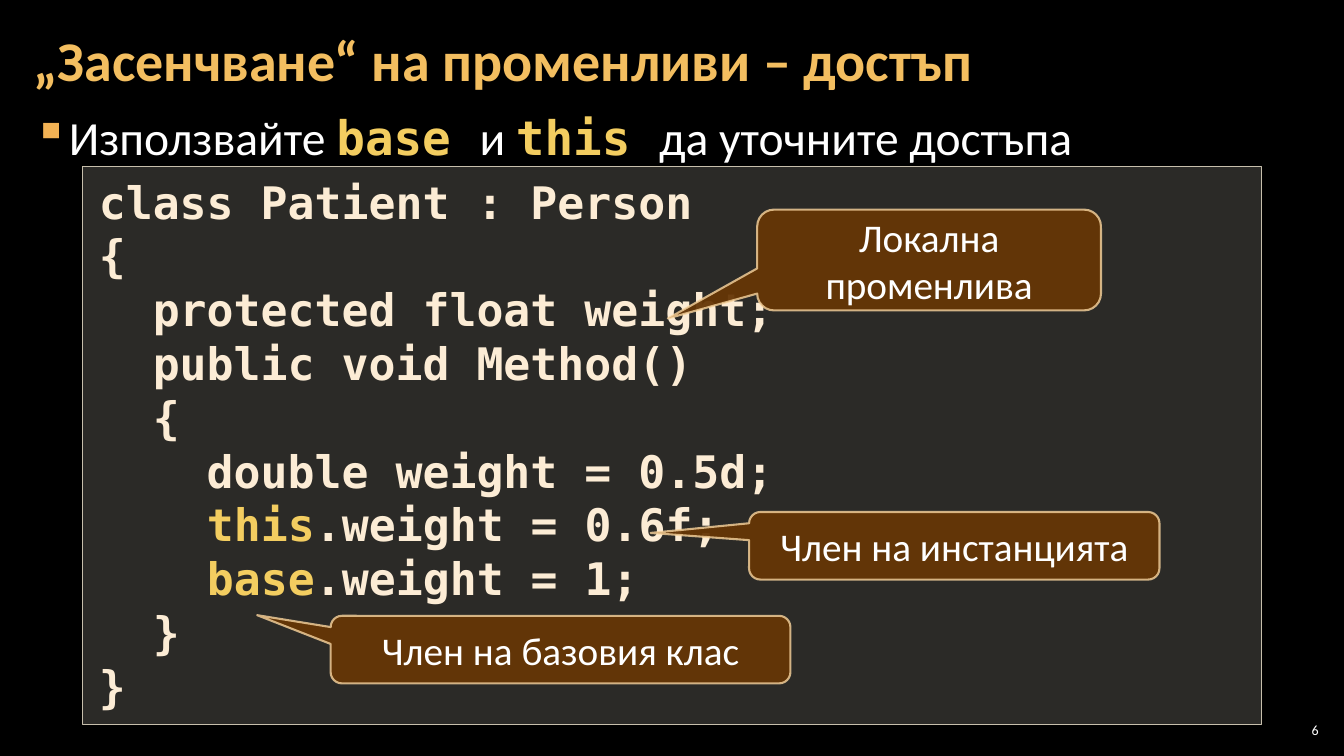
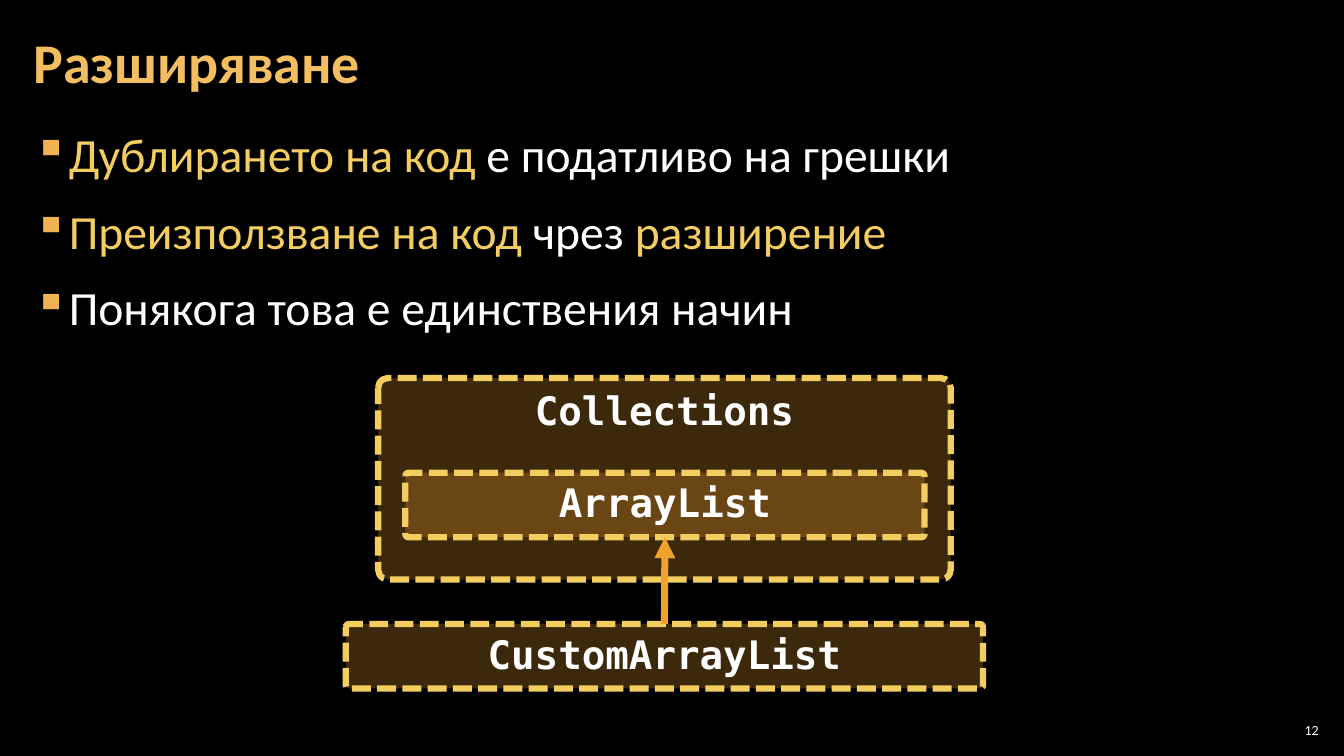
from lxml import etree
from pptx import Presentation
from pptx import util as u
from pptx.dml import color as colors
from pptx.enum import dml, shapes, text
from pptx.oxml import ns

PX = 9144
SANS, MONO = "Calibri", "DejaVu Sans Mono"
BLACK, WHITE = "000000", "FFFFFF"
TITLE, ACCENT, BULLET = "F3BE60", "F3CD60", "F2B254"
CODE_TEXT, CODE_FILL, CODE_LINE = "FCECD5", "D9D5C7", "C7BFAC"
CALLOUT_FILL, CALLOUT_LINE = "663606", "F8D49E"
ORANGE = "F0A22E"
ACCENT_STYLE = {"color": ACCENT}
KEYWORD_STYLE = {"color": ACCENT, "name": MONO, "bold": True}
DIAGRAM_CENTER = 659


def px(*lengths):
    return [u.Emu(length * PX) for length in lengths]


def set_color(fill, value, opacity=100):
    fill.solid()
    fill.fore_color.rgb = colors.RGBColor.from_string(value)
    if opacity < 100:
        for element in fill._xPr.iter(ns.qn("a:srgbClr")):
            add_element(element, "a:alpha", val=str(opacity * 1000))


def add_element(parent, tag, **attributes):
    return etree.SubElement(parent, ns.qn(tag), **attributes)


def style_font(font, color=None, name=None, size=None, bold=None):
    if color:
        set_color(font.fill, color)
    if name:
        font.name = name
    if size:
        font.size = u.Pt(size)
    if bold is not None:
        font.bold = bold


def setup_frame(shape, margins, anchor=text.MSO_ANCHOR.TOP):
    frame = shape.text_frame
    frame.word_wrap = True
    frame.vertical_anchor = anchor
    horizontal, vertical = px(*margins)
    frame.margin_left = frame.margin_right = horizontal
    frame.margin_top = frame.margin_bottom = vertical
    return frame


def add_text_box(slide, box, margins, anchor=text.MSO_ANCHOR.TOP):
    return setup_frame(slide.shapes.add_textbox(*px(*box)), margins, anchor)


def add_bullet(paragraph):
    properties = paragraph._p.get_or_add_pPr()
    properties.set("marL", str(33 * PX))
    properties.set("indent", str(-33 * PX))
    bullet_color = add_element(properties, "a:buClr")
    add_element(bullet_color, "a:srgbClr", val=BULLET)
    add_element(properties, "a:buChar", char="▪")


def write(frame, lines, align=text.PP_ALIGN.LEFT, bulleted=False, line_spacing=None, **style):
    for index, line in enumerate(lines):
        paragraph = frame.add_paragraph() if index else frame.paragraphs[0]
        paragraph.alignment = align
        paragraph.line_spacing = line_spacing
        if bulleted:
            paragraph.space_before = u.Pt(6 if index else 0)
            paragraph.space_after = u.Pt(6)
            add_bullet(paragraph)
        style_font(paragraph.font, **style)
        for part in [line] if isinstance(line, str) else line:
            content, override = (part, {}) if isinstance(part, str) else part
            run = paragraph.add_run()
            run.text = content
            style_font(run.font, **override)


def add_title(slide, title, line_spacing=0.9):
    frame = add_text_box(slide, (21, 4, 1291, 121), (12, 4), text.MSO_ANCHOR.MIDDLE)
    write(frame, [title], line_spacing=line_spacing, color=TITLE, name=SANS, size=40, bold=True)


def add_bullets(slide, top, lines):
    frame = add_text_box(slide, (21, top, 1291, 609), (12, 4))
    write(frame, lines, bulleted=True, line_spacing=1.05, color=WHITE, name=SANS, size=34)


def add_slide_number(slide, number):
    frame = add_text_box(slide, (1265, 714, 47, 21), (4, 4), text.MSO_ANCHOR.MIDDLE)
    write(frame, [str(number)], text.PP_ALIGN.RIGHT, color=WHITE, name=SANS, size=10)


def add_panel(slide, preset, box, fill, line, width):
    shape = slide.shapes.add_shape(preset, *px(*box))
    shape.shadow.inherit = False
    set_color(shape.fill, *fill)
    set_color(shape.line.fill, *line)
    shape.line.width = u.Pt(width)
    return shape


def add_code(slide, box, lines):
    shape = add_panel(slide, shapes.MSO_SHAPE.RECTANGLE, box, (CODE_FILL, 20), (CODE_LINE,), 1)
    write(setup_frame(shape, (16, 8)), lines, color=CODE_TEXT, name=MONO, size=32, bold=True)


def add_callout(slide, box, tip, label):
    shape = add_panel(slide, shapes.MSO_SHAPE.ROUNDED_RECTANGULAR_CALLOUT, box,
                      (CALLOUT_FILL, 95), (CALLOUT_LINE, 80), 1.5)
    shape.adjustments[0], shape.adjustments[1] = tip
    frame = setup_frame(shape, (10, 5), text.MSO_ANCHOR.MIDDLE)
    write(frame, [label], text.PP_ALIGN.CENTER, color=WHITE, name=SANS, size=28)


def add_class_box(slide, top, width, height, label):
    box = (DIAGRAM_CENTER - width // 2, top, width, height)
    shape = add_panel(slide, shapes.MSO_SHAPE.ROUNDED_RECTANGLE, box, (ORANGE, 25), (ACCENT,), 4.5)
    shape.adjustments[0] = 0.05
    shape.line.dash_style = dml.MSO_LINE.SQUARE_DOT
    write(setup_frame(shape, (10, 5)), [label], text.PP_ALIGN.CENTER,
          color=WHITE, name=MONO, size=28, bold=True)
    return shape


def add_arrow(slide, child, parent):
    arrow = slide.shapes.add_connector(shapes.MSO_CONNECTOR.STRAIGHT, 0, 0, 0, 0)
    arrow.begin_connect(child, 0)
    arrow.end_connect(parent, 2)
    set_color(arrow.line.fill, ORANGE)
    arrow.line.width = u.Pt(5)
    add_element(arrow.line._get_or_add_ln(), "a:tailEnd", type="triangle")
    add_element(arrow._element.spPr, "a:effectLst")


def add_slide(presentation):
    return presentation.slides.add_slide(presentation.slide_layouts[6])


def build_access_slide(presentation):
    slide = add_slide(presentation)
    add_bullets(slide, 100, [
        ["Използвайте ", ("base ", KEYWORD_STYLE), "и ", ("this ", KEYWORD_STYLE), "да уточните достъпа"],
    ])
    add_code(slide, (82, 165, 1169, 554), [
        "class Patient : Person",
        "{",
        "  protected float weight;",
        "  public void Method()",
        "  {",
        "    double weight = 0.5d;",
        ["    ", ("this", ACCENT_STYLE), ".weight = 0.6f;"],
        ["    ", ("base", ACCENT_STYLE), ".weight = 1;"],
        "  }",
        "}",
    ])
    add_title(slide, "„Засенчване“ на променливи – достъп", u.Pt(40))
    add_callout(slide, (743, 508, 407, 67), (-0.74, -0.19), "Член на инстанцията")
    add_callout(slide, (328, 611, 456, 67), (-0.66, -0.51), "Член на базовия клас")
    add_callout(slide, (751, 208, 341, 100), (-0.76, 0.58), "Локална променлива")
    add_slide_number(slide, 6)


def build_extension_slide(presentation):
    slide = add_slide(presentation)
    add_bullets(slide, 117, [
        [("Дублирането на код ", ACCENT_STYLE), "е податливо на грешки"],
        [("Преизползване на код ", ACCENT_STYLE), "чрез ", ("разширение", ACCENT_STYLE)],
        "Понякога това е единствения начин",
    ])
    add_title(slide, "Разширяване")
    add_class_box(slide, 375, 568, 200, "Collections")
    array_list = add_class_box(slide, 469, 515, 64, "ArrayList")
    custom_list = add_class_box(slide, 619, 632, 64, "CustomArrayList")
    add_arrow(slide, custom_list, array_list)
    add_slide_number(slide, 12)


def main():
    presentation = Presentation()
    presentation.slide_width, presentation.slide_height = px(1333, 750)
    set_color(presentation.slide_master.background.fill, BLACK)
    build_access_slide(presentation)
    build_extension_slide(presentation)
    presentation.save("out.pptx")


if __name__ == "__main__":
    main()
